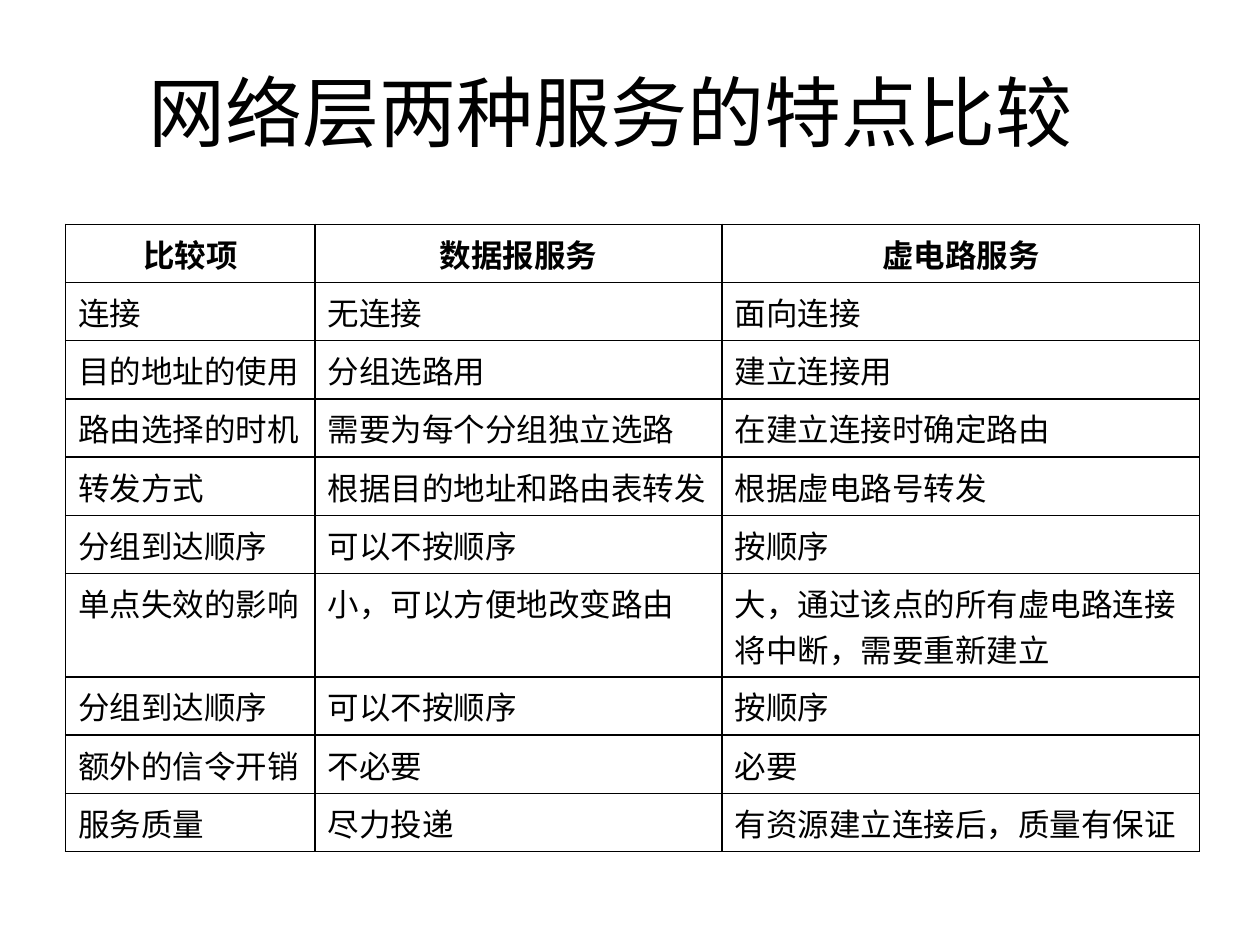
from dataclasses import dataclass

from lxml import etree
from pptx import Presentation
from pptx.dml.color import RGBColor
from pptx.enum import text as t
from pptx.oxml import ns
from pptx.util import Inches, Pt


@dataclass(frozen=True)
class Theme:
    ink: str = "000000"
    paper: str = "FFFFFF"
    title_font: str = "Arial"
    table_font: str = "Times New Roman"
    title_size: int = 44
    table_size: int = 18
    rule_width: int = 1


THEME = Theme()
TITLE = "网络层两种服务的特点比较 "
COMPARISON = [
    ("比较项", "数据报服务", "虚电路服务"),
    ("连接", "无连接", "面向连接"),
    ("目的地址的使用", "分组选路用", "建立连接用"),
    ("路由选择的时机", "需要为每个分组独立选路", "在建立连接时确定路由"),
    ("转发方式", "根据目的地址和路由表转发", "根据虚电路号转发"),
    ("分组到达顺序", "可以不按顺序", "按顺序"),
    ("单点失效的影响", "小，可以方便地改变路由",
     "大，通过该点的所有虚电路连接将中断，需要重新建立"),
    ("分组到达顺序", "可以不按顺序", "按顺序"),
    ("额外的信令开销", "不必要", "必要"),
    ("服务质量", "尽力投递", "有资源建立连接后，质量有保证"),
]
COLUMN_WIDTHS = (1.98, 3.23, 3.79)
TABLE_HEIGHT = 4.98
TWO_LINE_ROW = 6
TWO_LINE_HEIGHT = 0.82
ROW_HEIGHT = (TABLE_HEIGHT - TWO_LINE_HEIGHT) / (len(COMPARISON) - 1)
TOP_ANCHORED_ROWS = (6, 7)


def format_text(frame, font_name, size, bold=False, centred=False):
    for paragraph in frame.paragraphs:
        paragraph.alignment = t.PP_ALIGN.CENTER if centred else t.PP_ALIGN.LEFT
        for run in paragraph.runs:
            run.font.name = font_name
            run.font.size = Pt(size)
            run.font.bold = bold
            run.font.color.rgb = RGBColor.from_string(THEME.ink)


def add_title(slide):
    box = slide.shapes.add_textbox(Inches(0.42), Inches(0.25), Inches(9), Inches(1.25))
    frame = box.text_frame
    frame.word_wrap = True
    frame.vertical_anchor = t.MSO_ANCHOR.MIDDLE
    frame.text = TITLE
    format_text(frame, THEME.title_font, THEME.title_size, centred=True)


def rule_cell(cell):
    """Draw a solid rule on all four sides; rules must precede the cell fill."""
    properties = cell._tc.get_or_add_tcPr()
    for position, side in enumerate(("lnL", "lnR", "lnT", "lnB")):
        rule = etree.Element(ns.qn(f"a:{side}"), w=str(Pt(THEME.rule_width)))
        fill = etree.SubElement(rule, ns.qn("a:solidFill"))
        etree.SubElement(fill, ns.qn("a:srgbClr"), val=THEME.ink)
        properties.insert(position, rule)


def add_comparison_table(slide):
    table = slide.shapes.add_table(
        len(COMPARISON), len(COLUMN_WIDTHS), Inches(0.52), Inches(1.78),
        Inches(sum(COLUMN_WIDTHS)), Inches(TABLE_HEIGHT)).table
    table.first_row = table.horz_banding = False
    for column, width in zip(table.columns, COLUMN_WIDTHS):
        column.width = Inches(width)
    for index, (row, entries) in enumerate(zip(table.rows, COMPARISON)):
        row.height = Inches(TWO_LINE_HEIGHT if index == TWO_LINE_ROW else ROW_HEIGHT)
        header = index == 0
        top = index in TOP_ANCHORED_ROWS
        for cell, entry in zip(row.cells, entries):
            cell.text_frame.text = entry
            cell.vertical_anchor = t.MSO_ANCHOR.TOP if top else t.MSO_ANCHOR.MIDDLE
            cell.fill.solid()
            cell.fill.fore_color.rgb = RGBColor.from_string(THEME.paper)
            rule_cell(cell)
            format_text(cell.text_frame, THEME.table_font, THEME.table_size,
                        bold=header, centred=header)


def main():
    presentation = Presentation()
    presentation.slide_width = Inches(10)
    presentation.slide_height = Inches(7.5)
    slide = presentation.slides.add_slide(presentation.slide_layouts[6])
    add_title(slide)
    add_comparison_table(slide)
    presentation.save("out.pptx")


if __name__ == "__main__":
    main()
